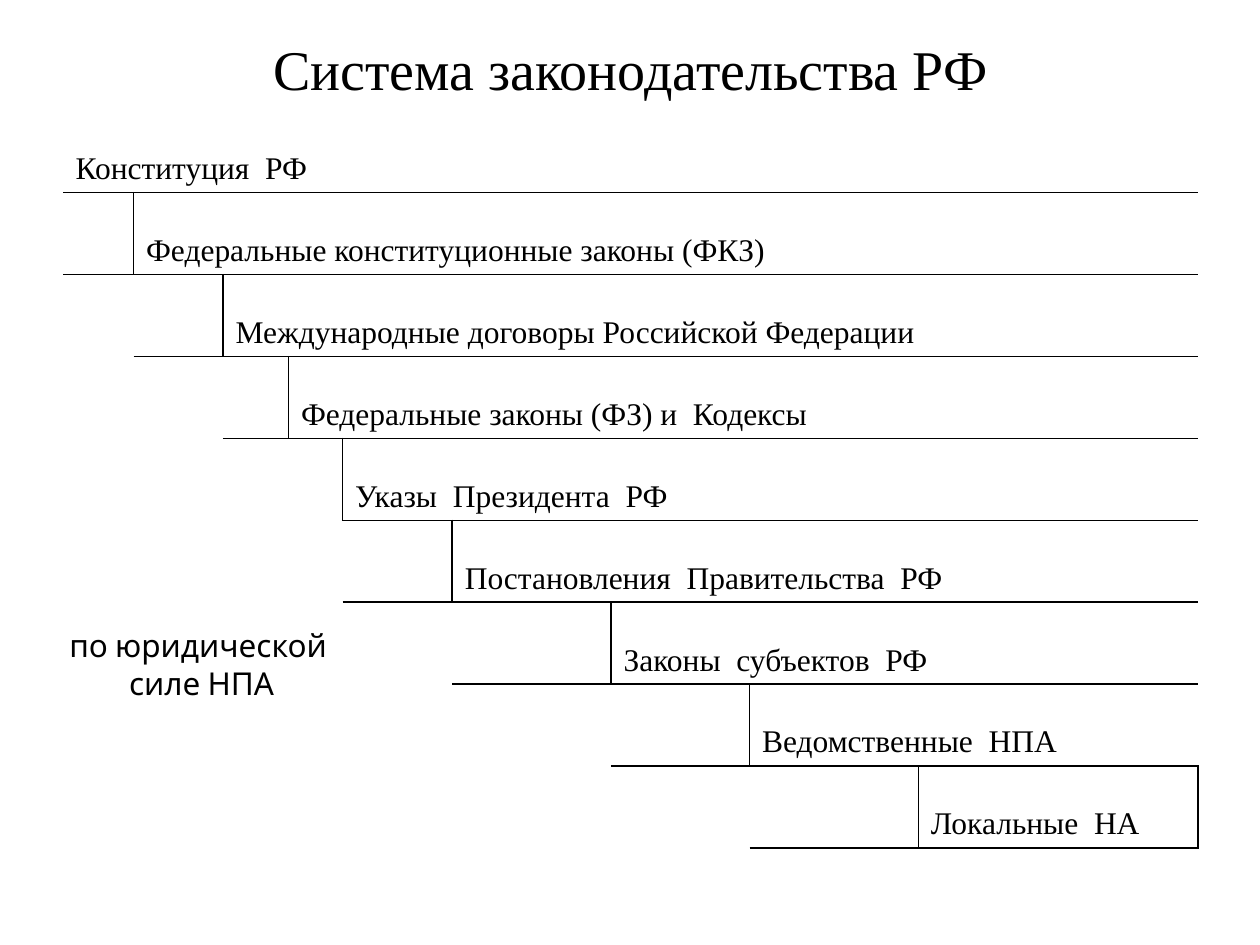
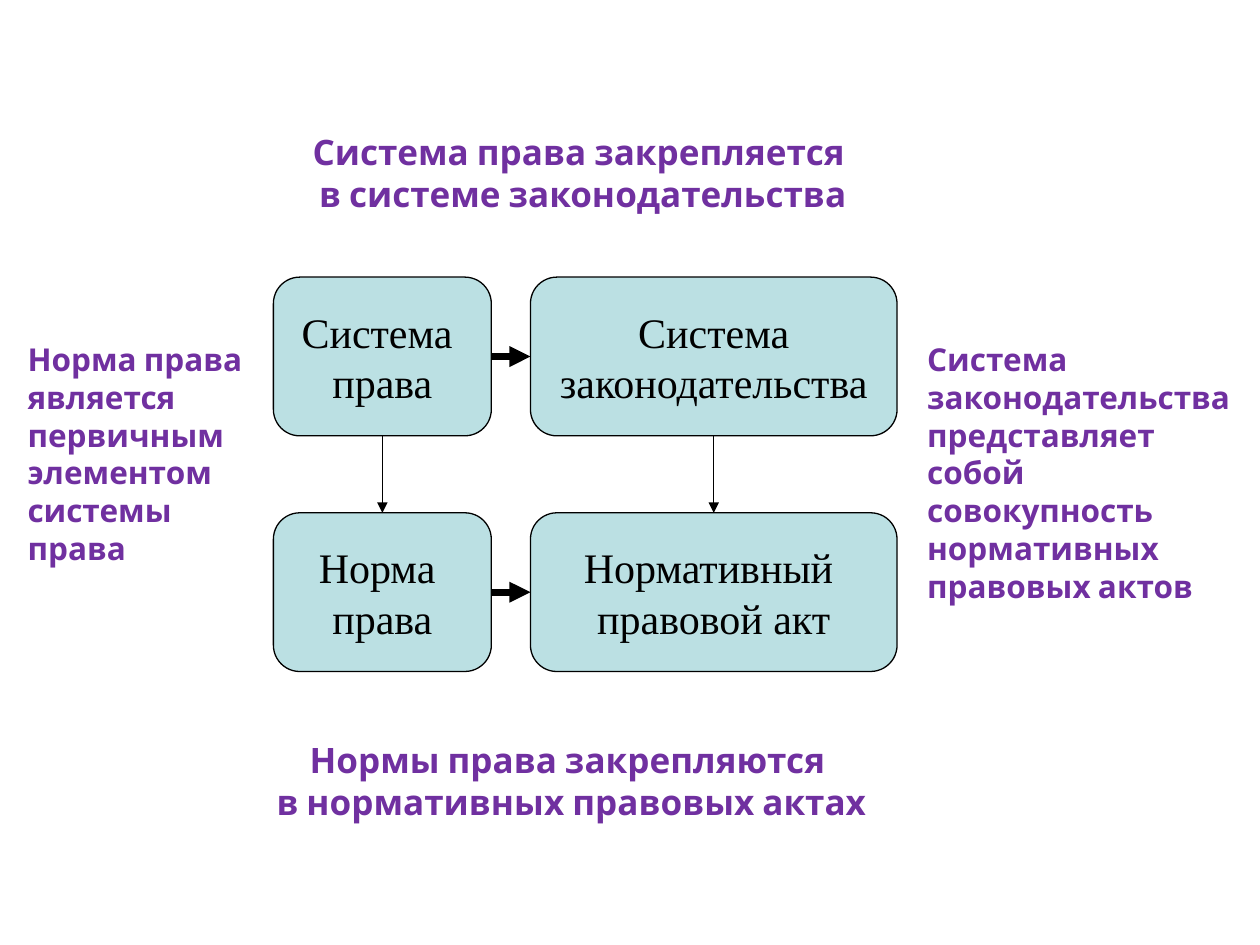
from lxml.etree import SubElement
from pptx import Presentation
from pptx.dml.color import RGBColor
from pptx.enum.shapes import MSO_CONNECTOR, MSO_SHAPE
from pptx.enum.text import MSO_ANCHOR, MSO_AUTO_SIZE, PP_ALIGN
from pptx.oxml import parse_xml
from pptx.oxml.ns import nsdecls, qn
from pptx.util import Emu, Inches, Pt

COLORS = {"ink": "000000", "accent": "7030A0", "box": "BBE0E3"}
SERIF, SANS = "Times New Roman", "Cabin"
PLAIN = "{2D5ABB26-0587-4C30-8999-92F81FD0307C}"
TOP, LEFT, BOTTOM, RIGHT = range(4)

ACTS = [
    "Конституция  РФ",
    "Федеральные конституционные законы (ФКЗ)",
    "Международные договоры Российской Федерации",
    "Федеральные законы (ФЗ) и  Кодексы",
    "Указы  Президента  РФ",
    "Постановления  Правительства  РФ",
    "Законы  субъектов  РФ",
    "Ведомственные  НПА",
    "Локальные  НА",
]
WIDTHS = [5.6, 7.1, 5.2, 4.3, 8.7, 12.6, 11, 13.4, 22.2]
HEIGHTS = [8.4] + [8.67] * 9 + [7.6]
FULL, OPEN = 3, 4


class Deck:
    def __init__(self):
        self.prs = Presentation()
        self.prs.slide_width = Inches(10)
        self.prs.slide_height = Inches(7.5)
        self.slide = None

    def page(self):
        self.slide = self.prs.slides.add_slide(self.prs.slide_layouts[6])

    def across(self, share):
        return Emu(round(self.prs.slide_width * share / 100))

    def down(self, share):
        return Emu(round(self.prs.slide_height * share / 100))

    def area(self, x, y, w, h):
        return self.across(x), self.down(y), self.across(w), self.down(h)

    def color(self, name):
        return RGBColor.from_string(COLORS[name])

    def words(self, frame, text, size, face, color="ink", bold=False, align=PP_ALIGN.CENTER):
        frame.text = text
        for para in frame.paragraphs:
            para.alignment = align
            font = para.font
            font.size, font.name, font.bold = Pt(size), face, bold
            font.color.rgb = self.color(color)

    def label(self, area, text, size, wrap=False, **style):
        frame = self.slide.shapes.add_textbox(*self.area(*area)).text_frame
        frame.word_wrap = wrap
        frame.auto_size = MSO_AUTO_SIZE.SHAPE_TO_FIT_TEXT
        self.words(frame, text, size, SANS, **style)

    def box(self, area, text):
        box = self.slide.shapes.add_shape(
            MSO_SHAPE.FLOWCHART_ALTERNATE_PROCESS, *self.area(*area))
        box.shadow.inherit = False
        box.fill.solid()
        box.fill.fore_color.rgb = self.color("box")
        box.line.color.rgb = self.color("ink")
        box.line.width = Pt(0.75)
        box.text_frame.word_wrap = False
        box.text_frame.vertical_anchor = MSO_ANCHOR.MIDDLE
        self.words(box.text_frame, text, 24, SERIF)
        return box

    def arrow(self, start, out, end, into, width):
        link = self.slide.shapes.add_connector(MSO_CONNECTOR.STRAIGHT, 0, 0, 0, 0)
        link.begin_connect(start, out)
        link.end_connect(end, into)
        link.line.color.rgb = self.color("ink")
        link.line.width = Pt(width)
        props = link._element.spPr
        SubElement(props.find(qn("a:ln")), qn("a:tailEnd"), type="triangle")
        SubElement(props, qn("a:effectLst"))

    def table(self, x, y, widths, heights):
        area = self.area(x, y, sum(widths), sum(heights))
        table = self.slide.shapes.add_table(len(heights), len(widths), *area).table
        table.first_row = table.horz_banding = False
        table._tbl.tblPr.find(qn("a:tableStyleId")).text = PLAIN
        for col, width in zip(table.columns, widths):
            col.width = self.across(width)
        for row, height in zip(table.rows, heights):
            row.height = self.down(height)
        return table

    def entry(self, cell, text, size, align, anchor):
        cell.vertical_anchor = anchor
        self.words(cell.text_frame, text, size, SERIF, align=align)
        props = cell.text_frame.paragraphs[0]._p.get_or_add_pPr()
        props.set("marL", str(Inches(0.38)))
        props.set("indent", str(-Inches(0.38)))

    def edges(self, cell, sides):
        props = cell._tc.get_or_add_tcPr()
        for side in "LRTB":
            if side in sides:
                props.append(parse_xml(
                    f'<a:ln{side} {nsdecls("a")} w="{Pt(0.96)}"><a:solidFill>'
                    f'<a:srgbClr val="{COLORS["ink"]}"/></a:solidFill></a:ln{side}>'))
        cell.fill.background()


def ladder(deck):
    deck.page()
    table = deck.table(5, 3.33, WIDTHS, HEIGHTS)
    last = len(WIDTHS) - 1
    sides = {(r, c): "" for r in range(len(HEIGHTS)) for c in range(last + 1)}
    table.cell(0, 0).merge(table.cell(0, last))
    deck.entry(table.cell(0, 0), "Система законодательства РФ", 32,
               PP_ALIGN.CENTER, MSO_ANCHOR.MIDDLE)
    for row, act in enumerate(ACTS, 1):
        col = row - 1
        if col < last:
            table.cell(row, col).merge(table.cell(row, last))
        deck.entry(table.cell(row, col), act, 18, PP_ALIGN.LEFT, MSO_ANCHOR.BOTTOM)
        if col:
            sides[row, col] += "L"
            sides[row, col - 1] += "R"
        if row != OPEN:
            for c in range(col, last + 1 if row == FULL else col + 1):
                sides[row, c] += "B"
                sides[row + 1, c] += "T"
    for row in range(5, len(HEIGHTS)):
        table.cell(row, 2).merge(table.cell(row, 3))
    for place, names in sides.items():
        deck.edges(table.cell(*place), names)
    deck.label((4.4, 65.6, 23.2, 9.33), "по юридической \nсиле НПА", 18)


def links(deck):
    deck.page()
    loud = {"color": "accent", "bold": True}
    deck.label((23.7, 13.2, 45.1, 10.27),
               "Система права закрепляется \nв системе законодательства", 20, **loud)
    names = [["Система \nправа", "Система\nзаконодательства"],
             ["Норма \nправа", "Нормативный \nправовой акт"]]
    spans = [(21.7, 17.3), (42.1, 29.1)]
    grid = [[deck.box((x, y, w, 16.8), name) for (x, w), name in zip(spans, line)]
            for y, line in zip((29.33, 54.27), names)]
    for left, right in grid:
        deck.arrow(left, RIGHT, right, LEFT, 4)
    for upper, lower in zip(*grid):
        deck.arrow(upper, BOTTOM, lower, TOP, 0.75)
    deck.label((20.8, 77.47, 49.1, 10.27),
               "Нормы права закрепляются \nв нормативных правовых актах", 20, **loud)
    notes = [(1.2, 20.5, 25.33, "Норма права является первичным элементом системы права"),
             (72.6, 27.1, 29.33, "Система законодательства представляет собой "
                                 "совокупность нормативных правовых актов")]
    for x, w, h, text in notes:
        deck.label((x, 35.33, w, h), text, 18, wrap=True, align=PP_ALIGN.LEFT, **loud)


def main():
    deck = Deck()
    ladder(deck)
    links(deck)
    deck.prs.save("out.pptx")


if __name__ == "__main__":
    main()
